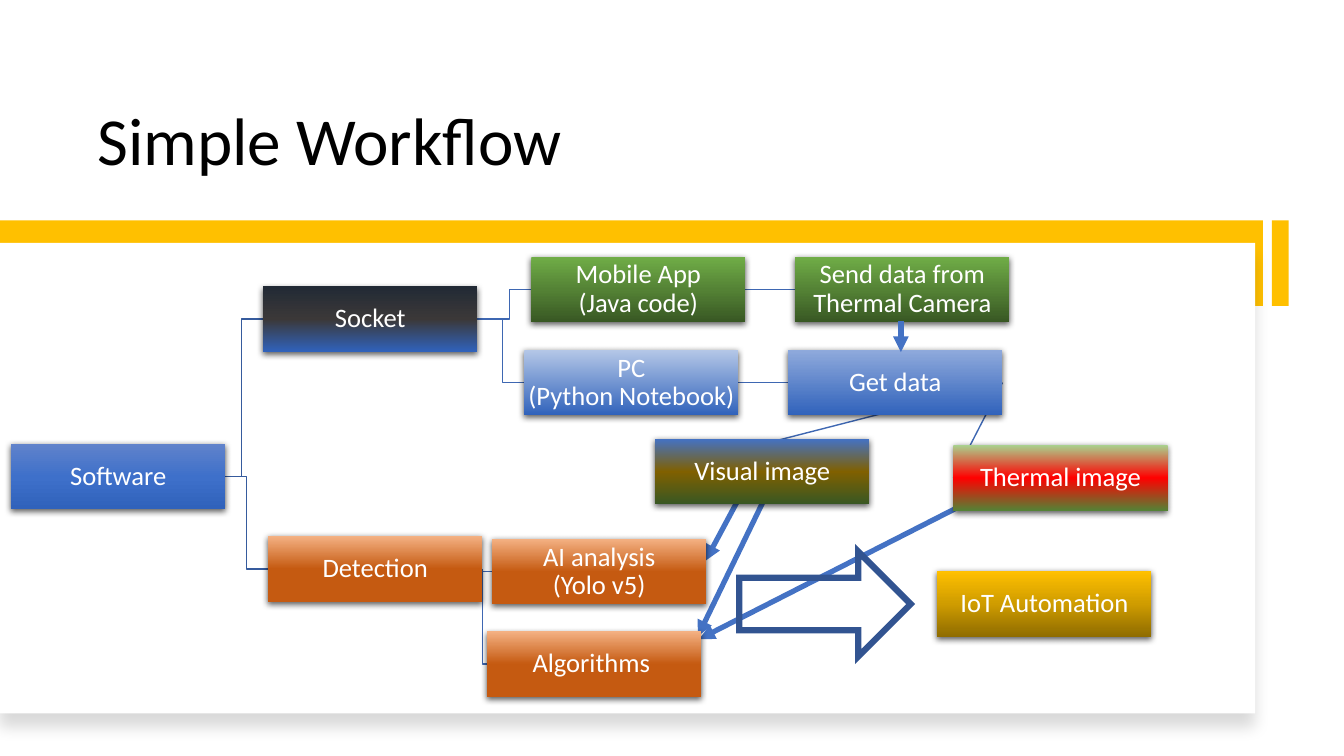
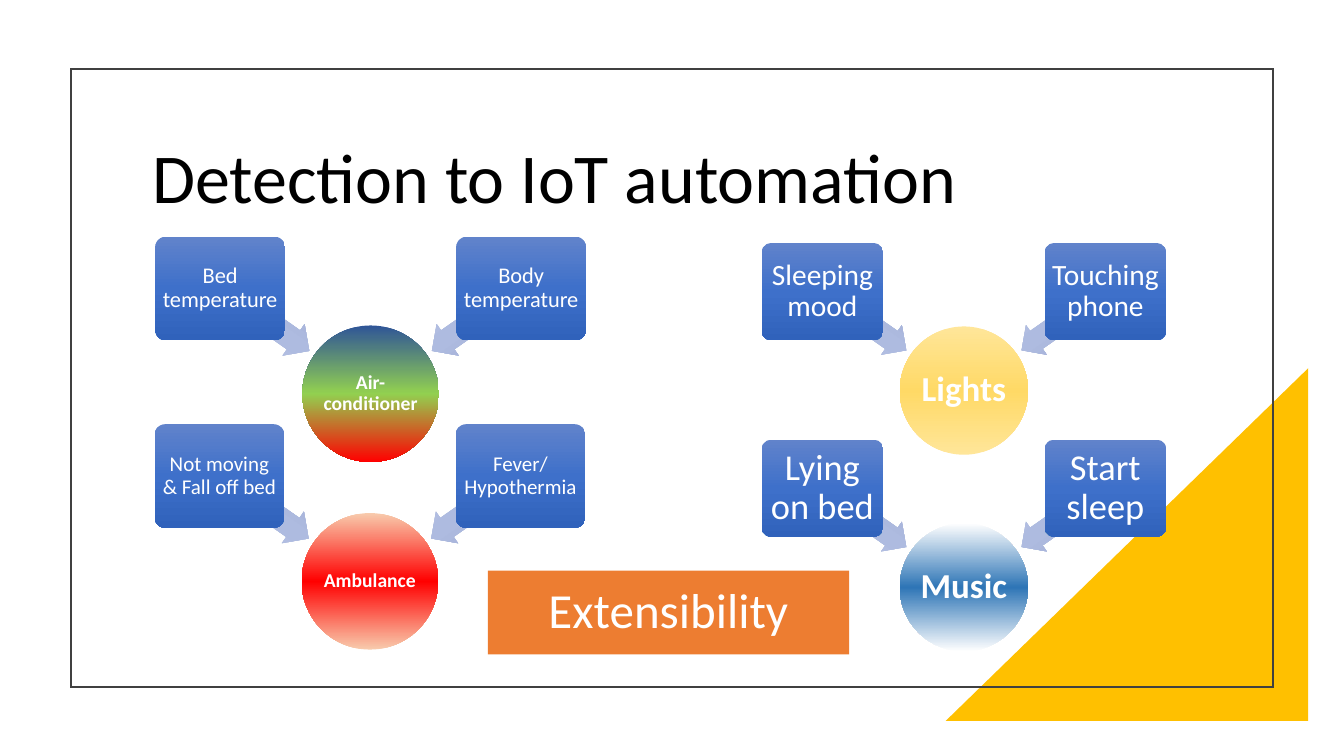
"""Build two slides: a software workflow diagram and the detections that drive automation."""
import pptx
import pptx.dml.color
import pptx.enum.shapes
import pptx.enum.text
import pptx.oxml
import pptx.oxml.ns
import pptx.util
from lxml import etree

Pt = pptx.util.Pt
qn = pptx.oxml.ns.qn
SHAPES = pptx.enum.shapes.MSO_SHAPE
ANCHORS = pptx.enum.text.MSO_ANCHOR
ALIGN = pptx.enum.text.PP_ALIGN

FONT = "Calibri"
WHITE, BLACK, YELLOW, ORANGE = "FFFFFF", "000000", "FFC000", "ED7D31"
FRAME, ARROW, ARROW_OUTLINE = "404040", "4472C4", "325491"
ROOT_LINK, CHILD_LINK = "365B9D", "3E67B2"
BLUE = [(0, "6183CB"), (50, "3E70CA"), (100, "3062BB")]
GREEN = [(0, "70AD47"), (50, "548235"), (100, "385723")]
RUST = [(0, "F4B183"), (50, "C55A11"), (100, "C55A11")]
PALE = [(0, "BBC5E3"), (50, "AEBBE0"), (100, "98A4CB")]
BOX_SHADOW = {"alpha": 63, "blur": 4.5, "distance": 1.5}
PANEL_SHADOW = {"alpha": 15, "blur": 11, "distance": 10}

BOX_WIDTH, BOX_HEIGHT = 153, 46.8
STEPS = {
    "software": ("Software", 8, 317, BLUE),
    "socket": ("Socket", 188, 204.5, [(0, "222A35"), (50, "3B3838"), (100, "3062BB")]),
    "app": ("Mobile App\n(Java code)", 379.5, 183.5, GREEN),
    "send": ("Send data from Thermal Camera", 568, 183.5, GREEN),
    "pc": ("PC\n(Python Notebook)", 374.5, 250, [(0, "B4C7E7"), (100, "3062BB")]),
    "get": ("Get data", 563, 250, [(0, "8FAADC"), (100, "3062BB")]),
    "visual": ("Visual image", 468, 313.5, [(0, "4472C4"), (50, "806000"), (100, "385723")]),
    "thermal": ("Thermal image", 681, 318, [(0, "A9D18E"), (50, "FF0000"), (100, "548235")]),
    "detection": ("Detection", 191.5, 383, RUST),
    "analysis": ("AI analysis\n(Yolo v5)", 351.5, 385, RUST),
    "algorithms": ("Algorithms ", 348, 451, RUST),
    "automation": ("IoT Automation", 669.5, 408, [(0, YELLOW), (50, "CF9C00"), (100, "8F6C00")]),
}
ELBOWS = [
    ("software", "socket", 0.43), ("software", "detection", 0.5), ("socket", "app", 0.6),
    ("socket", "pc", 0.54), ("detection", "analysis", 0), ("detection", "algorithms", 0),
]
STRAIGHTS = [("app", "send"), ("pc", "get"), ("get", "visual"), ("get", "thermal")]
ANALYSIS_ARROWS = [
    (526.5, 358.5, 504, 400.5), (545, 358.5, 498.5, 454.5), (686, 361.5, 499.5, 456.5),
]
CAMERA_ARROW = (643.5, 229.5, 643.5, 251.5)

CLUSTERS = [
    {"left": 111, "top": 169, "scale": 1, "causes": ("Bed temperature", "Body temperature"),
     "size": 16, "result": "Air-conditioner", "result_size": 14,
     "fill": [(0, "2F5597"), (50, "92D050"), (100, "FF0000")]},
    {"left": 544, "top": 173.5, "scale": 0.94, "causes": ("Sleeping mood", "Touching phone"),
     "size": 21, "result": "Lights", "result_size": 25,
     "fill": [(0, "FFE699"), (50, "FFD966"), (100, "FFE699")]},
    {"left": 110.5, "top": 303, "scale": 1,
     "causes": ("Not moving\n& Fall off bed", "Fever/\nHypothermia"),
     "size": 15, "result": "Ambulance", "result_size": 14,
     "fill": [(0, "F8CBAD"), (50, "FF0000"), (100, "F8CBAD")]},
    {"left": 544, "top": 314, "scale": 0.94, "causes": ("Lying on bed", "Start sleep"),
     "size": 26, "result": "Music", "result_size": 25,
     "fill": [(0, WHITE), (50, "2E75B6"), (100, WHITE)]},
]
CLUSTER_WIDTH = 307.5
CAUSE_WIDTH, CAUSE_HEIGHT = 92.5, 74
RESULT_TOP, RESULT_SIZE = 63.5, 97.5
POINTER_LEFT, POINTER_TOP, POINTER_WIDTH, POINTER_HEIGHT = 39, 45.5, 78, 27.5


def color(value):
    """Turn a hex string into a colour."""
    return pptx.dml.color.RGBColor.from_string(value)


def add_gradient(shape, stops):
    """Fill a shape from top to bottom with the given stops."""
    shape.fill.background()
    properties = shape.element.spPr
    gradient = pptx.oxml.parse_xml(f'<a:gradFill {pptx.oxml.ns.nsdecls("a")} rotWithShape="1"/>')
    stop_list = etree.SubElement(gradient, qn("a:gsLst"))
    for position, value in stops:
        stop = etree.SubElement(stop_list, qn("a:gs"), pos=str(position * 1000))
        etree.SubElement(stop, qn("a:srgbClr"), val=value)
    etree.SubElement(gradient, qn("a:lin"), ang="5400000", scaled="0")
    properties.replace(properties.find(qn("a:noFill")), gradient)


def add_shadow(shape, alpha, blur, distance):
    """Drop a black shadow straight below a shape."""
    effects = shape.element.spPr.find(qn("a:effectLst"))
    shadow = etree.SubElement(
        effects, qn("a:outerShdw"), blurRad=str(Pt(blur)), dist=str(Pt(distance)),
        dir="5400000", algn="ctr", rotWithShape="0")
    black = etree.SubElement(shadow, qn("a:srgbClr"), val=BLACK)
    etree.SubElement(black, qn("a:alpha"), val=str(alpha * 1000))


def add_shape(slide, kind, left, top, width, height, fill=None, line=None, shadow=None):
    """Add a preset shape with a plain, graded or empty fill."""
    shape = slide.shapes.add_shape(kind, Pt(left), Pt(top), Pt(width), Pt(height))
    shape.shadow.inherit = False
    if isinstance(fill, list):
        add_gradient(shape, fill)
    elif fill:
        shape.fill.solid()
        shape.fill.fore_color.rgb = color(fill)
    else:
        shape.fill.background()
    if line:
        shape.line.color.rgb = color(line[0])
        shape.line.width = Pt(line[1])
        etree.SubElement(shape.element.spPr.find(qn("a:ln")), qn("a:miter"), lim="800000")
    else:
        shape.line.fill.background()
    if shadow:
        add_shadow(shape, **shadow)
    return shape


def write(shape, text, size, value=WHITE, bold=False, align=ALIGN.CENTER,
          anchor=ANCHORS.MIDDLE, insets=(0, 0)):
    """Write one paragraph into a shape, with a line break at each newline."""
    frame = shape.text_frame
    frame.word_wrap = True
    frame.vertical_anchor = anchor
    frame.margin_left = frame.margin_right = Pt(insets[0])
    frame.margin_top = frame.margin_bottom = Pt(insets[1])
    paragraph = frame.paragraphs[0]
    paragraph.alignment = align
    paragraph.line_spacing = 0.9
    for index, part in enumerate(text.split("\n")):
        if index:
            paragraph.add_line_break()
        run = paragraph.add_run()
        run.text = part
        run.font.name = FONT
        run.font.size = Pt(size)
        run.font.bold = bold
        run.font.color.rgb = color(value)


def add_title(slide, text, left, top, width, height, size, anchor):
    """Add the slide title."""
    box = slide.shapes.add_textbox(Pt(left), Pt(top), Pt(width), Pt(height))
    write(box, text, size, BLACK, align=ALIGN.LEFT, anchor=anchor, insets=(7.2, 3.6))


def add_line(slide, ends, value, width, arrow=False):
    """Add a straight connector, with an arrowhead if wanted."""
    connector = slide.shapes.add_connector(
        pptx.enum.shapes.MSO_CONNECTOR.STRAIGHT, *[Pt(number) for number in ends])
    connector.line.color.rgb = color(value)
    connector.line.width = Pt(width)
    properties = connector.element.spPr
    if arrow:
        etree.SubElement(properties.find(qn("a:ln")), qn("a:tailEnd"), type="triangle")
    etree.SubElement(properties, qn("a:effectLst"))


def link_ends(source, target):
    """Give the right middle of one step and the left middle of another."""
    source_left, source_top = STEPS[source][1:3]
    target_left, target_top = STEPS[target][1:3]
    middle = BOX_HEIGHT / 2
    return source_left + BOX_WIDTH, source_top + middle, target_left, target_top + middle


def add_elbow(slide, source, target, bend):
    """Join two steps by a line that turns at a share of the gap."""
    x1, y1, x2, y2 = link_ends(source, target)
    turn = x1 + (x2 - x1) * bend
    builder = slide.shapes.build_freeform(Pt(x1), Pt(y1))
    corners = [(turn, y1), (turn, y2), (x2, y2)]
    builder.add_line_segments([(Pt(x), Pt(y)) for x, y in corners], close=False)
    elbow = builder.convert_to_shape()
    elbow.shadow.inherit = False
    elbow.fill.background()
    elbow.line.color.rgb = color(ROOT_LINK if source == "software" else CHILD_LINK)
    elbow.line.width = Pt(1)


def build_workflow(slide):
    """Draw the workflow tree on its panel."""
    add_title(slide, "Simple Workflow", 62.5, 30.5, 793, 102, 48, ANCHORS.BOTTOM)
    add_shape(slide, SHAPES.RECTANGLE, 0, 157.5, 902, 61, YELLOW)
    add_shape(slide, SHAPES.RECTANGLE, 0, 173.5, 896.5, 336, WHITE, shadow=PANEL_SHADOW)
    add_shape(slide, SHAPES.RECTANGLE, 908.5, 157.5, 12, 61, YELLOW)
    for ends in ANALYSIS_ARROWS:
        add_line(slide, ends, ARROW, 3.75, arrow=True)
    for source, target, bend in ELBOWS:
        add_elbow(slide, source, target, bend)
    for source, target in STRAIGHTS:
        add_line(slide, link_ends(source, target), CHILD_LINK, 1)
    for text, left, top, fill in STEPS.values():
        box = add_shape(slide, SHAPES.RECTANGLE, left, top, BOX_WIDTH, BOX_HEIGHT, fill,
                        shadow=BOX_SHADOW)
        write(box, text, 19)
    add_line(slide, CAMERA_ARROW, ARROW, 3.75, arrow=True)
    add_shape(slide, SHAPES.RIGHT_ARROW, 528, 394, 122.5, 75, line=(ARROW_OUTLINE, 4.5))


def add_cluster(slide, cluster):
    """Draw two causes pointing at the result between them."""
    scale = cluster["scale"]

    def place(kind, left, top, width, height, fill):
        """Add a shape at its scaled place in the cluster."""
        return add_shape(slide, kind, cluster["left"] + left * scale, cluster["top"] + top * scale,
                         width * scale, height * scale, fill)

    result = place(SHAPES.OVAL, (CLUSTER_WIDTH - RESULT_SIZE) / 2, RESULT_TOP,
                   RESULT_SIZE, RESULT_SIZE, cluster["fill"])
    write(result, cluster["result"], cluster["result_size"], bold=True)
    sides = [
        (0, POINTER_LEFT, 215),
        (CLUSTER_WIDTH - CAUSE_WIDTH, CLUSTER_WIDTH - POINTER_LEFT - POINTER_WIDTH, 325),
    ]
    for text, (cause_left, pointer_left, rotation) in zip(cluster["causes"], sides):
        pointer = place(SHAPES.LEFT_ARROW, pointer_left, POINTER_TOP,
                        POINTER_WIDTH, POINTER_HEIGHT, PALE)
        pointer.adjustments[0] = 0.6
        pointer.rotation = rotation
        cause = place(SHAPES.ROUNDED_RECTANGLE, cause_left, 0, CAUSE_WIDTH, CAUSE_HEIGHT, BLUE)
        cause.adjustments[0] = 0.1
        write(cause, text, cluster["size"], insets=(2, 2))


def build_automation(slide):
    """Draw the clusters of detections inside a frame."""
    corner = add_shape(slide, SHAPES.RIGHT_TRIANGLE, 675.5, 263, 259, 252, YELLOW)
    corner.element.spPr.find(qn("a:xfrm")).set("flipH", "1")
    add_shape(slide, SHAPES.RECTANGLE, 50.5, 49, 859, 441.5, line=(FRAME, 1.5))
    add_title(slide, "Detection to IoT automation", 101.5, 65.5, 636, 127.5, 50, ANCHORS.MIDDLE)
    for cluster in CLUSTERS:
        add_cluster(slide, cluster)
    banner = add_shape(slide, SHAPES.RECTANGLE, 348.5, 407.5, 258, 60, ORANGE)
    write(banner, "Extensibility", 35)


def main():
    """Build and save the presentation."""
    presentation = pptx.Presentation()
    presentation.slide_width, presentation.slide_height = Pt(960), Pt(540)
    for build in (build_workflow, build_automation):
        build(presentation.slides.add_slide(presentation.slide_layouts[6]))
    presentation.save("out.pptx")


if __name__ == "__main__":
    main()
